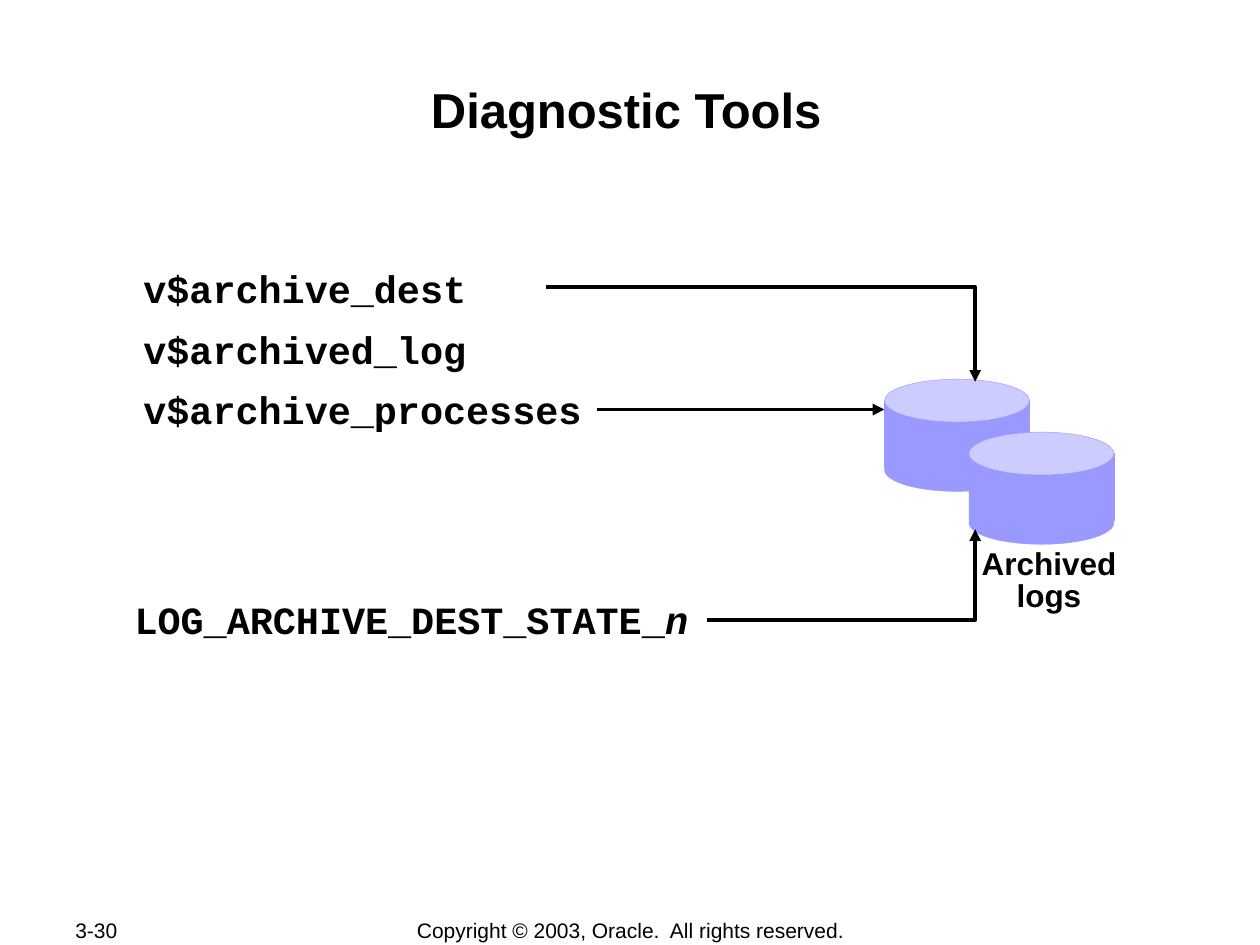
from pptx import Presentation
from pptx.dml.color import RGBColor
from pptx.enum.shapes import MSO_CONNECTOR, MSO_SHAPE
from pptx.enum.text import MSO_ANCHOR, PP_ALIGN
from pptx.oxml.ns import qn
from pptx.util import Inches, Pt
from lxml import etree

LEFT, CENTER = PP_ALIGN.LEFT, PP_ALIGN.CENTER
TOP, MIDDLE = MSO_ANCHOR.TOP, MSO_ANCHOR.MIDDLE
RECTANGLE, OVAL = MSO_SHAPE.RECTANGLE, MSO_SHAPE.OVAL
STRAIGHT = MSO_CONNECTOR.STRAIGHT

BLACK = RGBColor(0x00, 0x00, 0x00)
DISK_SIDE = RGBColor(0x99, 0x99, 0xFF)
DISK_TOP = RGBColor(0xCC, 0xCC, 0xFF)

SANS, MONO = "Arial", "Courier New"
DISK_WIDTH, LID_HEIGHT, SIDE_HEIGHT = 1.15, 0.34, 0.53


def write_text(shape, paragraphs, size, font=SANS, bold=False, align=LEFT,
               anchor=TOP, line_spacing=1.0, gap=0, wrap=True):
    """Fill a shape with paragraphs of (text, italic) runs; "\n" breaks a line."""
    frame = shape.text_frame
    frame.word_wrap = wrap
    frame.vertical_anchor = anchor
    for index, runs in enumerate(paragraphs):
        paragraph = frame.add_paragraph() if index else frame.paragraphs[0]
        paragraph.alignment = align
        paragraph.line_spacing = line_spacing
        paragraph.space_before = Pt(gap if index else 0)
        for text, italic in runs:
            for line_index, line in enumerate(text.split("\n")):
                if line_index:
                    paragraph.add_line_break()
                run = paragraph.add_run()
                run.text = line
                run.font.name = font
                run.font.size = Pt(size)
                run.font.bold = bold
                run.font.italic = italic
                run.font.color.rgb = BLACK


def add_text(slide, left, top, width, height, paragraphs, size, **text_format):
    box = slide.shapes.add_textbox(
        Inches(left), Inches(top), Inches(width), Inches(height))
    write_text(box, paragraphs, size, **text_format)


def add_title(slide, text):
    title = slide.shapes.title
    title.left, title.top = Inches(0.97), Inches(0.58)
    title.width, title.height = Inches(8), Inches(0.92)
    write_text(title, [[(text, False)]], 28, bold=True, align=CENTER)


def add_disk(slide, left, top):
    """Build a disk from its side, its lid and its rounded base."""
    group = slide.shapes.add_group_shape()
    middle = top + LID_HEIGHT / 2
    parts = [
        (RECTANGLE, middle, SIDE_HEIGHT, DISK_SIDE),
        (OVAL, top, LID_HEIGHT, DISK_TOP),
        (OVAL, top + SIDE_HEIGHT + 0.02, LID_HEIGHT, DISK_SIDE),
    ]
    for kind, part_top, height, color in parts:
        part = group.shapes.add_shape(
            kind, Inches(left), Inches(part_top),
            Inches(DISK_WIDTH), Inches(height))
        part.shadow.inherit = False
        part.fill.solid()
        part.fill.fore_color.rgb = color
        part.line.color.rgb = DISK_SIDE
        part.line.width = Pt(0.25)


def style_arrow(shape):
    shape.line.color.rgb = BLACK
    shape.line.width = Pt(2.25)
    line = shape._element.spPr.find(qn("a:ln"))
    etree.SubElement(line, qn("a:tailEnd")).set("type", "triangle")


def add_bent_arrow(slide, start, end):
    """Run across from start, then up or down to end."""
    points = [(Inches(x), Inches(y)) for x, y in (start, (end[0], start[1]), end)]
    builder = slide.shapes.build_freeform(*points[0])
    builder.add_line_segments(points[1:], close=False)
    arrow = builder.convert_to_shape()
    arrow.shadow.inherit = False
    arrow.fill.background()
    style_arrow(arrow)


def add_straight_arrow(slide, start, end):
    arrow = slide.shapes.add_connector(
        STRAIGHT, *(Inches(value) for value in (*start, *end)))
    style_arrow(arrow)
    etree.SubElement(arrow._element.spPr, qn("a:effectLst"))


def main():
    presentation = Presentation()
    presentation.slide_width = Inches(10)
    presentation.slide_height = Inches(7.5)
    slide = presentation.slides.add_slide(presentation.slide_layouts[5])

    # Footer
    add_text(slide, 0.5, 7.28, 1.06, 0.2, [[("3-30", False)]], 12, anchor=MIDDLE)
    add_text(slide, 2.76, 7.28, 4.49, 0.21,
             [[("Copyright © 2003, Oracle.  All rights reserved.", False)]],
             12, align=CENTER, anchor=MIDDLE)

    # Archived log disks
    add_disk(slide, 7.02, 3.01)
    add_disk(slide, 7.69, 3.43)

    # Title, views and parameter
    add_title(slide, "Diagnostic Tools")
    views = ["v$archive_dest", "v$archived_log", "v$archive_processes"]
    add_text(slide, 1.04, 2.08, 4.4, 1.41, [[(view, False)] for view in views],
             22, font=MONO, bold=True, line_spacing=0.95, gap=9.6)
    add_text(slide, 0.97, 4.68, 4.74, 0.47,
             [[("LOG_ARCHIVE_DEST_STATE_", False), ("n", True)]],
             22, font=MONO, bold=True)

    # Disk label
    add_text(slide, 7.69, 4.32, 1.27, 0.61, [[("Archived\nlogs", False)]], 18,
             bold=True, align=CENTER, line_spacing=0.84, wrap=False)

    # Arrows to the disks
    add_bent_arrow(slide, (4.33, 2.28), (7.74, 3.03))
    add_straight_arrow(slide, (4.74, 3.25), (7.02, 3.25))
    add_bent_arrow(slide, (5.61, 4.92), (7.74, 4.2))

    presentation.save("out.pptx")


if __name__ == "__main__":
    main()
